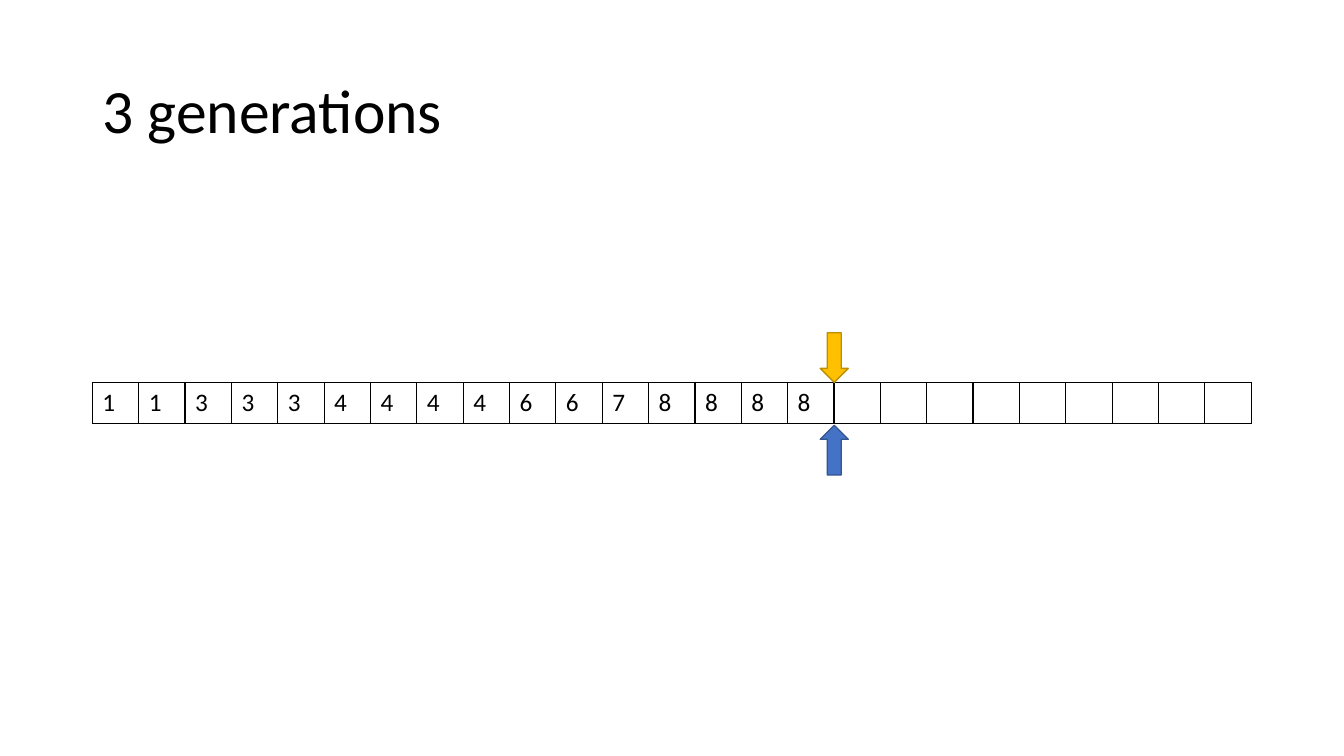
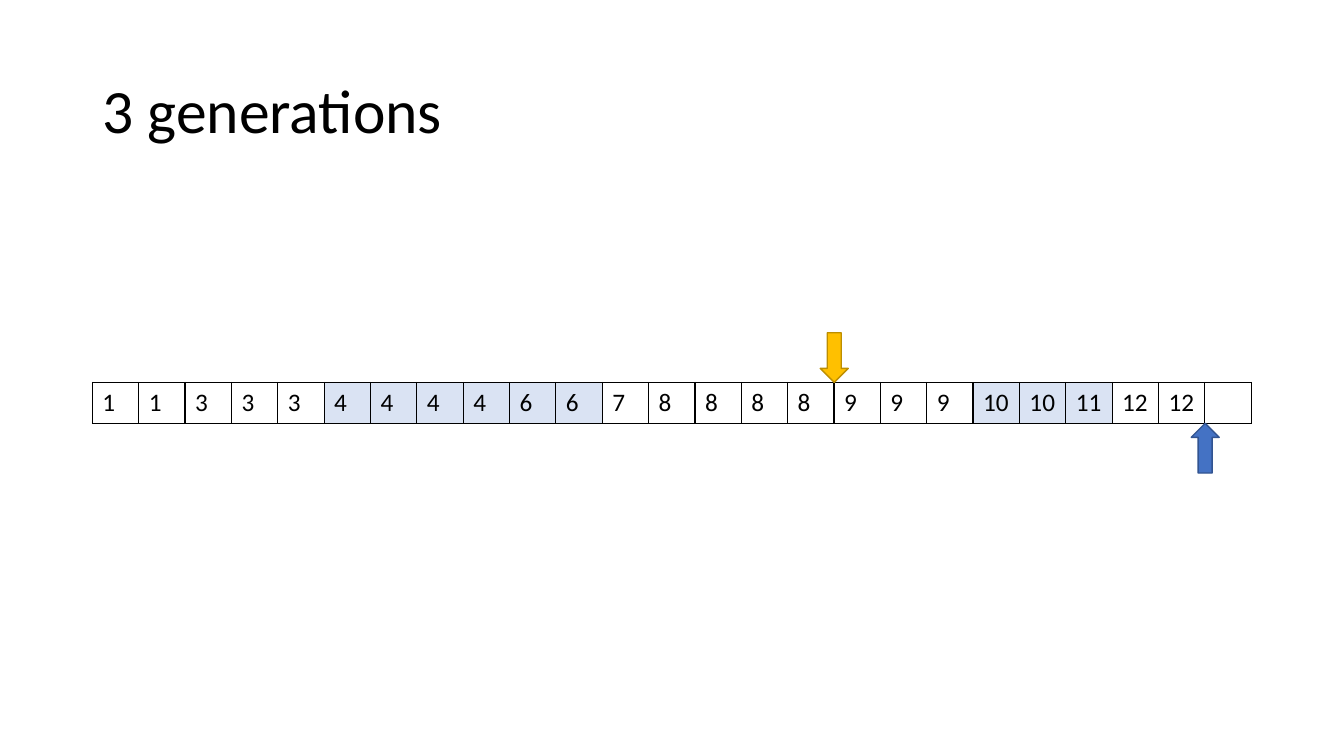
from lxml.etree import SubElement
from pptx import Presentation
from pptx.dml.color import RGBColor
from pptx.enum.shapes import MSO_SHAPE
from pptx.enum.text import MSO_ANCHOR, PP_ALIGN
from pptx.oxml.ns import qn
from pptx.util import Pt

# Shared geometry, in points
LEFT, WIDTH = 66, 828
SLOTS = 25
SLOT_WIDTH = WIDTH / SLOTS
ROW_HEIGHT = 29.2
HEAP_TOP = 273.2
HEAP_BOTTOM = HEAP_TOP + ROW_HEIGHT
ARROW_WIDTH, ARROW_HEIGHT = 20, 35.5


def color(hex_value):
    return RGBColor.from_string(hex_value)


class Deck:
    FONT = "Calibri"
    INK = "000000"
    MARKED = "DAE3F3"
    GOLD = ("FFC000", "BD8E00")
    BLUE = ("4472C4", "325491")

    def __init__(self):
        self.prs = Presentation()
        self.prs.slide_width, self.prs.slide_height = Pt(960), Pt(540)
        self.slide = None

    def add_run(self, paragraph, text, size):
        run = paragraph.add_run()
        run.text = text
        run.font.name = self.FONT
        run.font.size = Pt(size)
        run.font.color.rgb = color(self.INK)

    def new_slide(self, heading):
        self.slide = self.prs.slides.add_slide(self.prs.slide_layouts[5])
        title = self.slide.shapes.title
        title.left, title.top = Pt(LEFT), Pt(28.8)
        title.width, title.height = Pt(WIDTH), Pt(104.4)
        title.text_frame.vertical_anchor = MSO_ANCHOR.MIDDLE
        paragraph = title.text_frame.paragraphs[0]
        paragraph.alignment = PP_ALIGN.LEFT
        paragraph.line_spacing = 0.9
        self.add_run(paragraph, heading, 44)

    def border(self, cell, sides):
        # Border lines must come before the fill, in the order L, R, T, B
        properties = cell._tc.get_or_add_tcPr()
        for position, side in enumerate(sides):
            line = SubElement(properties, qn(f"a:ln{side}"), w=str(Pt(1)))
            fill = SubElement(line, qn("a:solidFill"))
            SubElement(fill, qn("a:srgbClr"), val=self.INK)
            properties.insert(position, line)

    def heap(self, values, marked=()):
        """Draw the slots below an open, merged top row."""
        table = self.slide.shapes.add_table(
            2, SLOTS, Pt(LEFT), Pt(HEAP_TOP - ROW_HEIGHT),
            Pt(WIDTH), Pt(2 * ROW_HEIGHT)).table
        table.first_row = table.horz_banding = False
        for row in table.rows:
            row.height = Pt(ROW_HEIGHT)
        for column in table.columns:
            column.width = Pt(SLOT_WIDTH)
        table.cell(0, 0).merge(table.cell(0, SLOTS - 1))

        for index in range(SLOTS):
            header, slot = table.cell(0, index), table.cell(1, index)
            header.fill.background()
            self.border(header, "B")
            if index in marked:
                slot.fill.solid()
                slot.fill.fore_color.rgb = color(self.MARKED)
            else:
                slot.fill.background()
            self.border(slot, "LRTB")
            if index < len(values):
                self.add_run(slot.text_frame.paragraphs[0],
                             str(values[index]), 18)

    def arrow(self, preset, slot, top, colors):
        """Point an arrow at the left edge of a slot."""
        center = LEFT + slot * SLOT_WIDTH
        pointer = self.slide.shapes.add_shape(
            preset, Pt(center - ARROW_WIDTH / 2), Pt(top),
            Pt(ARROW_WIDTH), Pt(ARROW_HEIGHT))
        pointer.shadow.inherit = False
        pointer.fill.solid()
        pointer.fill.fore_color.rgb = color(colors[0])
        pointer.line.color.rgb = color(colors[1])
        pointer.line.width = Pt(1)

    def generations(self, values, marked=(), gap=0):
        self.new_slide("3 generations")
        self.heap(values, marked)
        self.arrow(MSO_SHAPE.UP_ARROW, len(values), HEAP_BOTTOM + gap, self.BLUE)
        self.arrow(MSO_SHAPE.DOWN_ARROW, len(OLD_OBJECTS),
                   HEAP_TOP - ARROW_HEIGHT, self.GOLD)


OLD_OBJECTS = [1, 1, 3, 3, 3, 4, 4, 4, 4, 6, 6, 7, 8, 8, 8, 8]
NEW_OBJECTS = [9, 9, 9, 10, 10, 11, 12, 12]


def main():
    deck = Deck()
    # Slide 1: old objects only
    deck.generations(OLD_OBJECTS, gap=1.4)
    # Slide 2: new objects added, some marked
    deck.generations(OLD_OBJECTS + NEW_OBJECTS,
                     marked=[*range(5, 11), *range(19, 22)])
    deck.prs.save("out.pptx")


if __name__ == "__main__":
    main()
